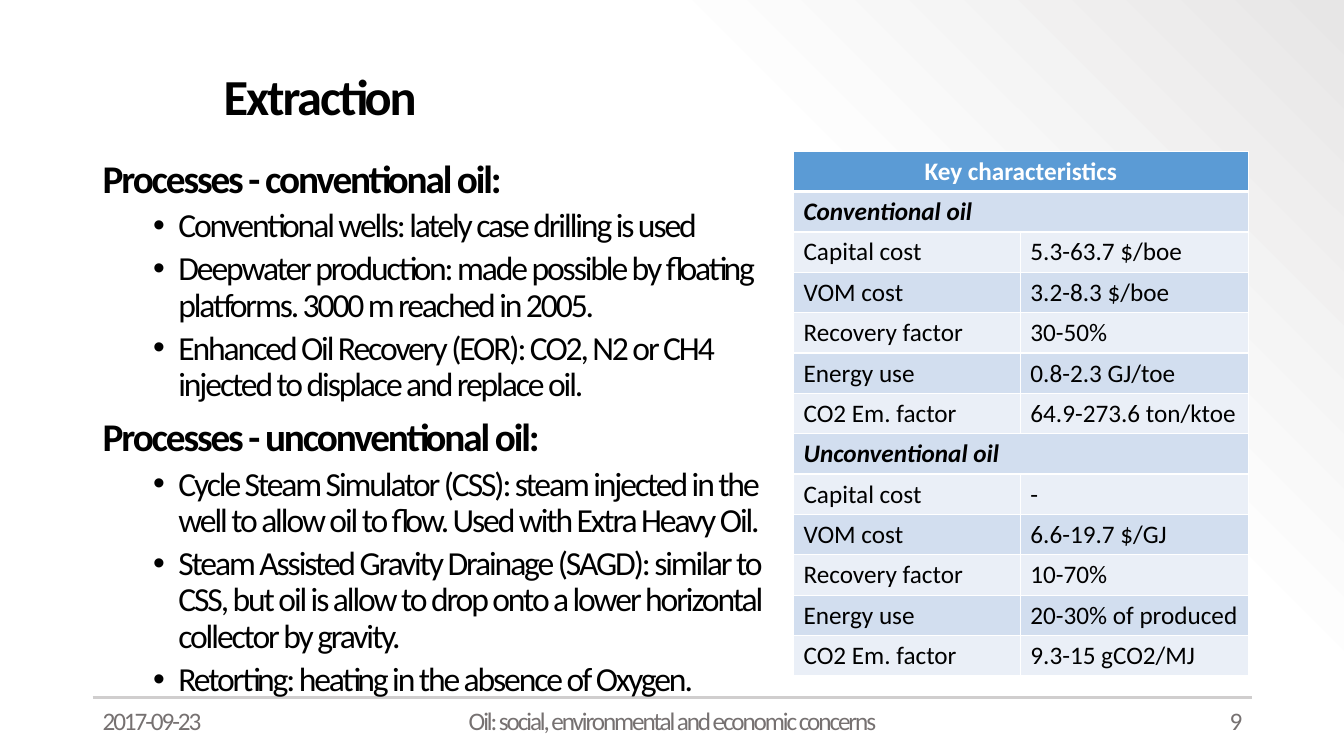
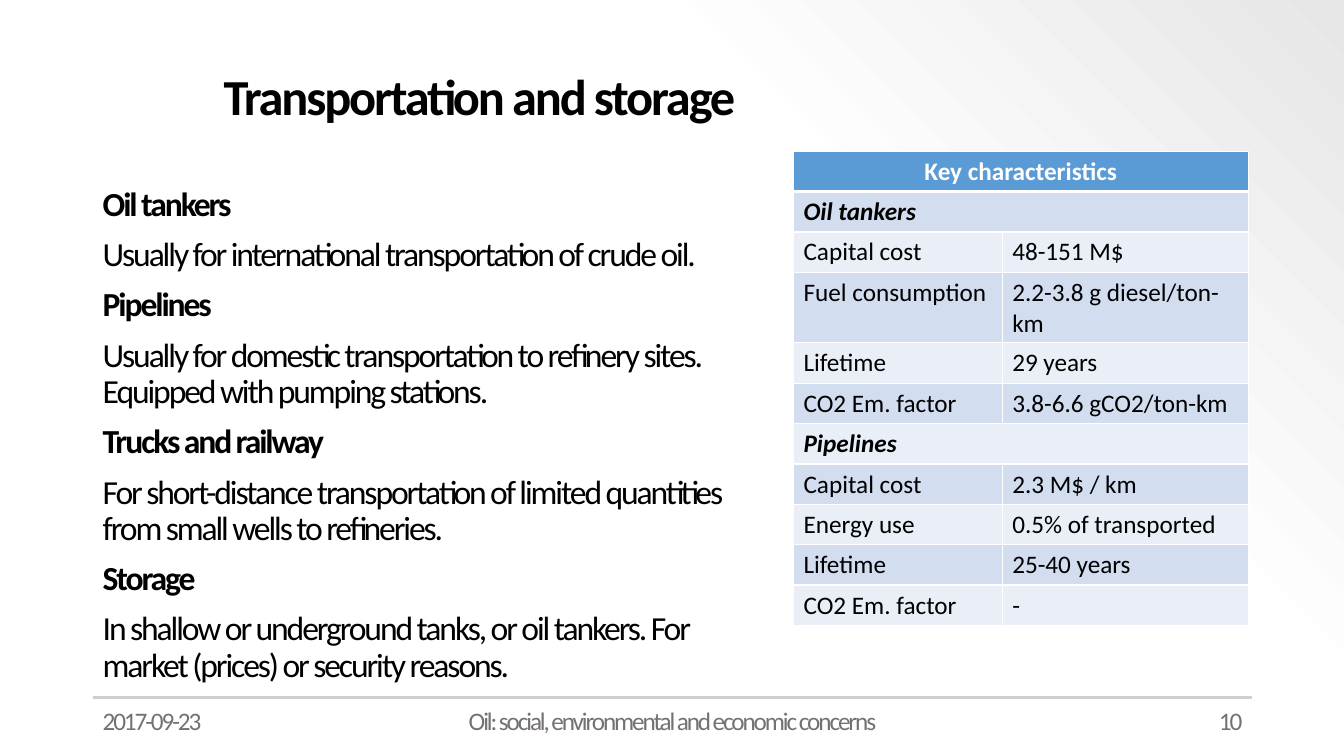
import pptx
import pptx.util
import pptx.dml.color
import pptx.enum.shapes
import pptx.enum.text
import pptx.oxml.ns
import lxml.etree

Inches = pptx.util.Inches
Pt = pptx.util.Pt
qn = pptx.oxml.ns.qn
ALIGN = pptx.enum.text.PP_ALIGN
ANCHOR = pptx.enum.text.MSO_ANCHOR

FONT = "Calibri"
COLORS = {
    "text": "000000",
    "white": "FFFFFF",
    "near_white": "FDFDFD",
    "corner": "E7E6E6",
    "footer": "767171",
    "rule": "D0CECE",
    "header": "5B9BD5",
    "band_dark": "D2DEEF",
    "band_light": "EAEFF7",
}
LEFT = 0.92
WIDTH = 11.5
DATE = "2017-09-23"
FOOTER = "Oil: social, environmental and economic concerns"
TABLE_TITLE = "Key characteristics"
HEAD, ITEM, SUBHEAD, PLAIN = "head", "item", "subhead", "plain"
STYLES = {
    HEAD: {"size": 28, "bold": True, "before": 10},
    ITEM: {"size": 24, "bold": False, "before": 5},
    SUBHEAD: {"size": 24, "bold": True, "before": 10},
    PLAIN: {"size": 24, "bold": False, "before": 10},
}

SLIDES = [
    {
        "title": "Extraction",
        "body_top": 1.53,
        "cols": [2.25, 2.26],
        "body": [
            (HEAD, "Processes - conventional oil:"),
            (ITEM, "Conventional wells: lately case drilling is used"),
            (ITEM, "Deepwater production: made possible by floating platforms. 3000 m reached in 2005."),
            (ITEM, "Enhanced Oil Recovery (EOR): CO2, N2 or CH4 injected to displace and replace oil."),
            (HEAD, "Processes - unconventional oil:"),
            (ITEM, "Cycle Steam Simulator (CSS): steam injected in the well to allow oil to flow. "
                   "Used with Extra Heavy Oil."),
            (ITEM, "Steam Assisted Gravity Drainage (SAGD): similar to CSS, but oil is allow to drop "
                   "onto a lower horizontal collector by gravity."),
            (ITEM, "Retorting: heating in the absence of Oxygen."),
        ],
        "rows": [
            ("Conventional oil",),
            ("Capital cost", "5.3-63.7 $/boe"),
            ("VOM cost", "3.2-8.3 $/boe"),
            ("Recovery factor", "30-50%"),
            ("Energy use", "0.8-2.3 GJ/toe"),
            ("CO2 Em. factor", "64.9-273.6 ton/ktoe"),
            ("Unconventional oil",),
            ("Capital cost", "-"),
            ("VOM cost", "6.6-19.7 $/GJ"),
            ("Recovery factor", "10-70%"),
            ("Energy use", "20-30% of produced"),
            ("CO2 Em. factor", "9.3-15 gCO2/MJ"),
        ],
    },
    {
        "title": "Transportation and storage",
        "body_top": 1.81,
        "cols": [2.07, 2.44],
        "body": [
            (SUBHEAD, "Oil tankers"),
            (PLAIN, "Usually for international transportation of crude oil."),
            (SUBHEAD, "Pipelines"),
            (PLAIN, "Usually for domestic transportation to refinery sites. Equipped with pumping stations."),
            (SUBHEAD, "Trucks and railway"),
            (PLAIN, "For short-distance transportation of limited quantities from small wells to refineries."),
            (SUBHEAD, "Storage"),
            (PLAIN, "In shallow or underground tanks, or oil tankers. For market (prices) or security reasons."),
        ],
        "rows": [
            ("Oil tankers",),
            ("Capital cost", "48-151 M$"),
            ("Fuel consumption", "2.2-3.8 g diesel/ton-km"),
            ("Lifetime", "29 years"),
            ("CO2 Em. factor", "3.8-6.6 gCO2/ton-km"),
            ("Pipelines",),
            ("Capital cost", "2.3 M$ / km"),
            ("Energy use", "0.5% of transported"),
            ("Lifetime", "25-40 years"),
            ("CO2 Em. factor", "-"),
        ],
    },
]


def rgb(name):
    return pptx.dml.color.RGBColor.from_string(COLORS[name])


def sub(parent, tag, **attrs):
    return lxml.etree.SubElement(parent, qn(tag), attrs)


def add_run(p, text, size, color="text", bold=False, italic=False, spacing=-1.5):
    r = p.add_run()
    r.text = text
    r.font.name = FONT
    r.font.size = Pt(size)
    r.font.bold = bold
    r.font.italic = italic
    r.font.color.rgb = rgb(color)
    if spacing:
        r.font._element.set("spc", str(int(spacing * 100)))


def add_text_frame(s, x, y, w, h, anchor=ANCHOR.TOP):
    tf = s.shapes.add_textbox(Inches(x), Inches(y), Inches(w), Inches(h)).text_frame
    tf.word_wrap = True
    tf.vertical_anchor = anchor
    return tf


def set_background(master):
    fill = master.background.fill
    fill.gradient()
    fill.gradient_angle = 45
    stops = master._element.find(".//" + qn("p:bg")).find(".//" + qn("a:gsLst"))
    for stop in list(stops):
        stops.remove(stop)
    for pos, color, alpha in [(0, "white", 100), (69, "near_white", 100), (100, "corner", 50)]:
        gs = sub(stops, "a:gs", pos=str(pos * 1000))
        clr = sub(gs, "a:srgbClr", val=COLORS[color])
        if alpha < 100:
            sub(clr, "a:alpha", val=str(alpha * 1000))


def add_footer(s, x, y, w, number):
    rule = s.shapes.add_connector(
        pptx.enum.shapes.MSO_CONNECTOR.STRAIGHT, Inches(x), Inches(y), Inches(x + w), Inches(y))
    rule.line.color.rgb = rgb("rule")
    rule.line.width = Pt(1.5)
    sub(rule._element.spPr, "a:effectLst")
    side, middle = 3, 4.5
    parts = [
        (x, side, ALIGN.LEFT, DATE),
        (x + (w - middle) / 2, middle, ALIGN.CENTER, FOOTER),
        (x + w - side, side, ALIGN.RIGHT, str(number)),
    ]
    for left, width, align, text in parts:
        p = add_text_frame(s, left, y + 0.03, width, 0.4).paragraphs[0]
        p.alignment = align
        add_run(p, text, 18, "footer")


def add_title(s, x, y, w, h, text):
    p = add_text_frame(s, x, y, w, h, ANCHOR.MIDDLE).paragraphs[0]
    p.line_spacing = 0.9
    add_run(p, text, 36, bold=True)


def add_bullet(p):
    pPr = p._p.get_or_add_pPr()
    pPr.set("marL", str(Inches(0.75)))
    pPr.set("indent", str(Inches(-0.25)))
    sub(pPr, "a:buFont", typeface="Arial")
    sub(pPr, "a:buChar", char="•")


def add_body(s, x, y, w, h, paragraphs):
    tf = add_text_frame(s, x, y, w, h)
    for i, (kind, text) in enumerate(paragraphs):
        p = tf.add_paragraph() if i else tf.paragraphs[0]
        style = STYLES[kind]
        if kind == ITEM:
            p.level = 1
            add_bullet(p)
        p.line_spacing = 0.9
        if i:
            p.space_before = Pt(style["before"])
        add_run(p, text, style["size"], bold=style["bold"])


def set_borders(cell, widths):
    tcPr = cell._tc.get_or_add_tcPr()
    for i, (side, width) in enumerate(widths.items()):
        ln = lxml.etree.Element(qn("a:ln" + side), {"w": str(Pt(width))})
        sub(sub(ln, "a:solidFill"), "a:srgbClr", val=COLORS["white"])
        tcPr.insert(i, ln)


def add_table(s, x, y, cols, rows):
    row_h = 0.4
    rows = [(TABLE_TITLE,)] + rows
    tbl = s.shapes.add_table(len(rows), len(cols), Inches(x), Inches(y),
                             Inches(sum(cols)), Inches(row_h * len(rows))).table
    tbl.horz_banding = False
    for col, width in zip(tbl.columns, cols):
        col.width = Inches(width)
    for i, texts in enumerate(rows):
        tbl.rows[i].height = Inches(row_h)
        header, section = i == 0, len(texts) == 1
        fill = "header" if header else "band_dark" if i % 2 else "band_light"
        for j in range(len(cols)):
            cell = tbl.cell(i, j)
            cell.fill.solid()
            cell.fill.fore_color.rgb = rgb(fill)
            set_borders(cell, {"L": 1, "R": 1, "T": 3 if i == 1 else 1, "B": 3 if header else 1})
        for j, text in enumerate(texts):
            p = tbl.cell(i, j).text_frame.paragraphs[0]
            p.alignment = ALIGN.CENTER if header else ALIGN.LEFT
            add_run(p, text, 18, "white" if header else "text",
                    bold=section, italic=section and not header, spacing=0)
        if section:
            tbl.cell(i, 0).merge(tbl.cell(i, len(cols) - 1))


def add_content_slide(prs, number, content):
    s = prs.slides.add_slide(prs.slide_layouts[6])
    add_footer(s, LEFT, 6.92, WIDTH, number)
    add_title(s, 2.12, 0.37, 10.3, 1.22, content["title"])
    add_table(s, 7.87, 1.5, content["cols"], content["rows"])
    add_body(s, LEFT, content["body_top"], 6.78, 5.37, content["body"])


def main():
    prs = pptx.Presentation()
    prs.slide_width = Inches(13.33)
    prs.slide_height = Inches(7.5)
    set_background(prs.slide_master)
    for number, content in enumerate(SLIDES, start=9):
        add_content_slide(prs, number, content)
    prs.save("out.pptx")


if __name__ == "__main__":
    main()
